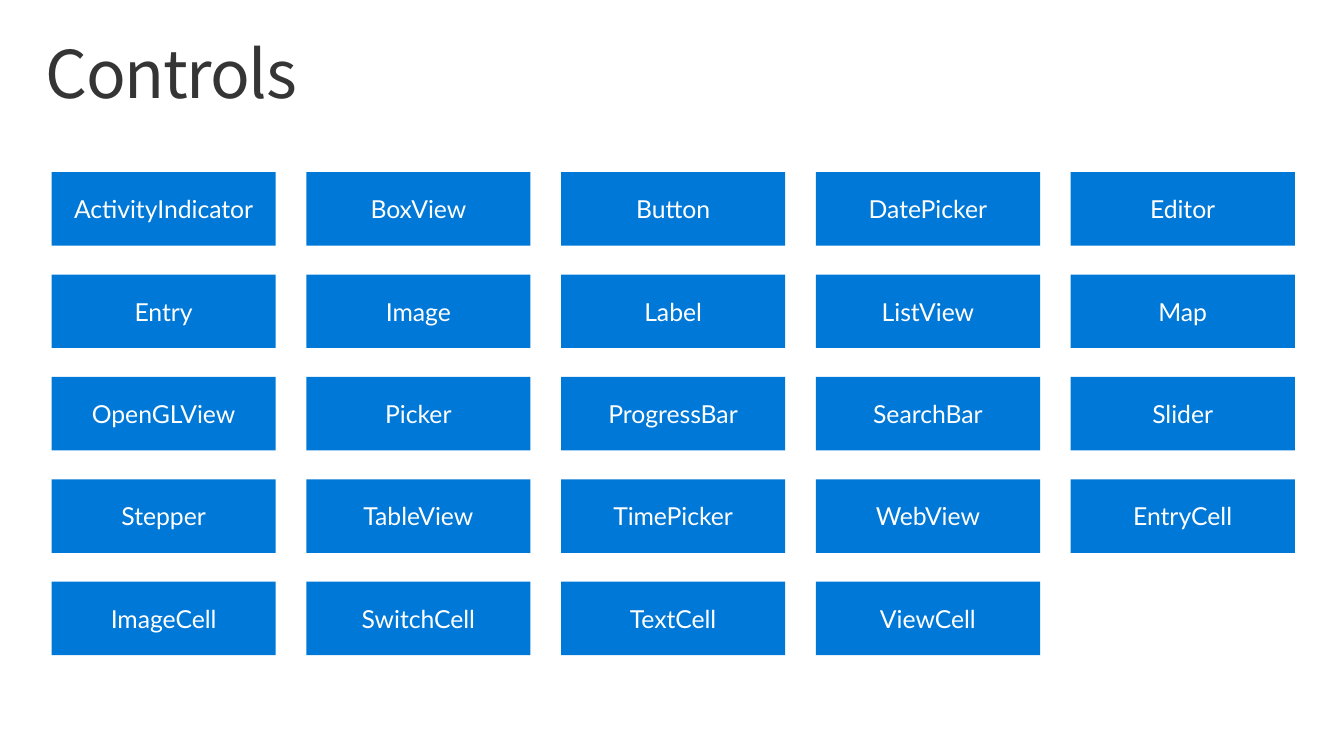
from pptx import Presentation
from pptx.dml.color import RGBColor
from pptx.enum.shapes import MSO_SHAPE
from pptx.enum.text import MSO_ANCHOR, MSO_AUTO_SIZE, PP_ALIGN
from pptx.util import Cm, Pt

BLUE = RGBColor(0x00, 0x78, 0xD7)
WHITE = RGBColor(0xFF, 0xFF, 0xFF)
CHARCOAL = RGBColor(0x35, 0x35, 0x35)

CONTROLS = [
    "ActivityIndicator", "BoxView", "Button", "DatePicker", "Editor",
    "Entry", "Image", "Label", "ListView", "Map",
    "OpenGLView", "Picker", "ProgressBar", "SearchBar", "Slider",
    "Stepper", "TableView", "TimePicker", "WebView", "EntryCell",
    "ImageCell", "SwitchCell", "TextCell", "ViewCell",
]
COLUMNS = 5
GRID_LEFT, GRID_TOP = 1.3, 4.34
COLUMN_STEP, ROW_STEP = 6.42, 2.58
TILE_WIDTH, TILE_HEIGHT = 5.65, 1.85


def set_attributes(target, values):
    for name, value in values.items():
        setattr(target, name, value)


def write_text(box, text, align, size, face, color):
    para = box.text_frame.paragraphs[0]
    para.alignment = align
    span = para.add_run()
    span.text = text
    set_attributes(span.font, {"size": Pt(size), "name": face})
    span.font.color.rgb = color
    return para, span


def add_title(page, text):
    title = page.shapes.title
    set_attributes(title, {
        "left": Cm(0.74), "top": Cm(0.81),
        "width": Cm(32.39), "height": Cm(2.49),
    })
    set_attributes(title.text_frame, {
        "margin_left": Cm(0.41), "margin_right": Cm(0.41),
        "margin_top": Cm(0.25), "margin_bottom": Cm(0.25),
        "vertical_anchor": MSO_ANCHOR.TOP,
        "auto_size": MSO_AUTO_SIZE.NONE, "word_wrap": True,
    })
    para, span = write_text(
        title, text, PP_ALIGN.LEFT, 47, "Noto Sans CJK KR", CHARCOAL)
    set_attributes(para, {"line_spacing": 0.9, "space_before": Pt(0)})
    span.font._element.set("spc", "-100")


def add_tile(page, index, label):
    row, column = divmod(index, COLUMNS)
    tile = page.shapes.add_shape(
        MSO_SHAPE.ROUNDED_RECTANGLE,
        Cm(GRID_LEFT + column * COLUMN_STEP),
        Cm(GRID_TOP + row * ROW_STEP),
        Cm(TILE_WIDTH), Cm(TILE_HEIGHT))
    tile.adjustments[0] = 0
    tile.shadow.inherit = False
    tile.fill.solid()
    tile.fill.fore_color.rgb = BLUE
    tile.line.fill.background()
    set_attributes(tile.text_frame, {
        "vertical_anchor": MSO_ANCHOR.MIDDLE, "word_wrap": True,
    })
    write_text(tile, label, PP_ALIGN.CENTER, 17.7, "Lato", WHITE)


def main():
    deck = Presentation()
    set_attributes(deck, {"slide_width": Cm(33.87), "slide_height": Cm(19.05)})
    page = deck.slides.add_slide(deck.slide_layouts[5])
    add_title(page, "Controls")
    for index, label in enumerate(CONTROLS):
        add_tile(page, index, label)
    deck.save("out.pptx")


if __name__ == "__main__":
    main()
